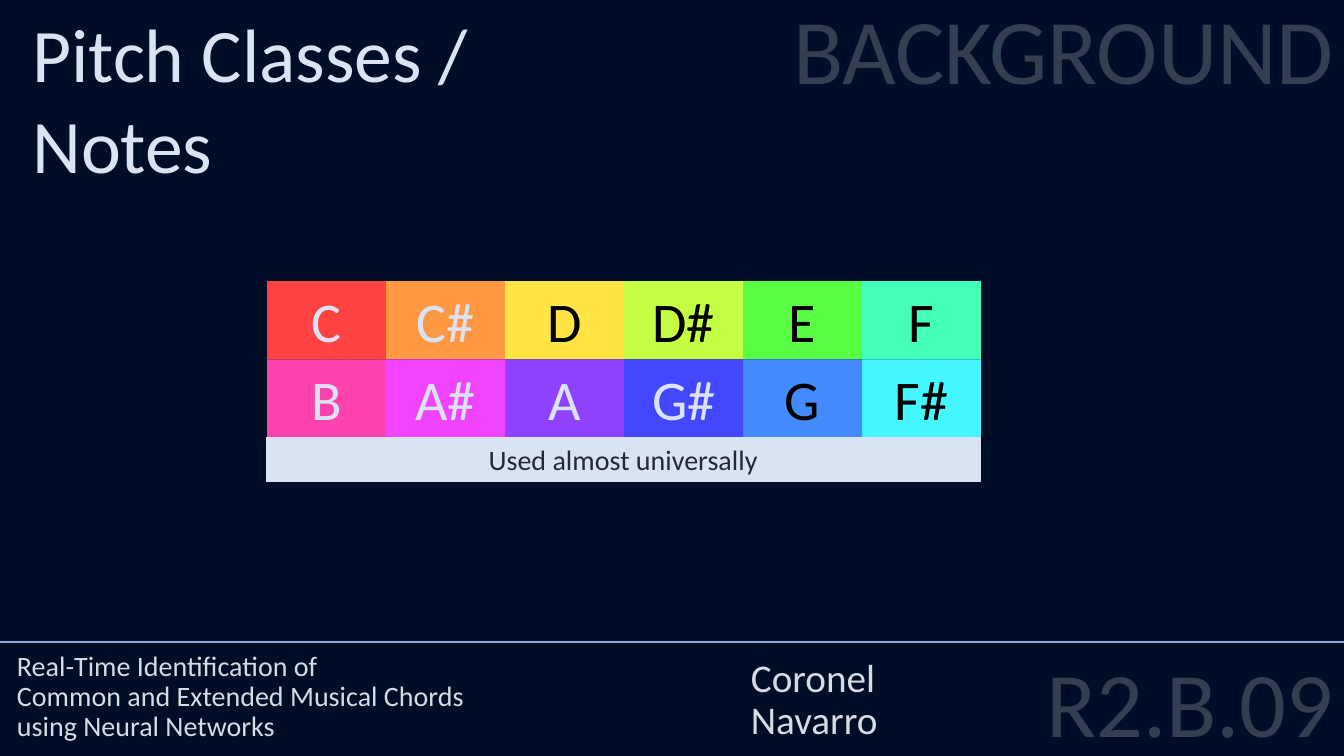
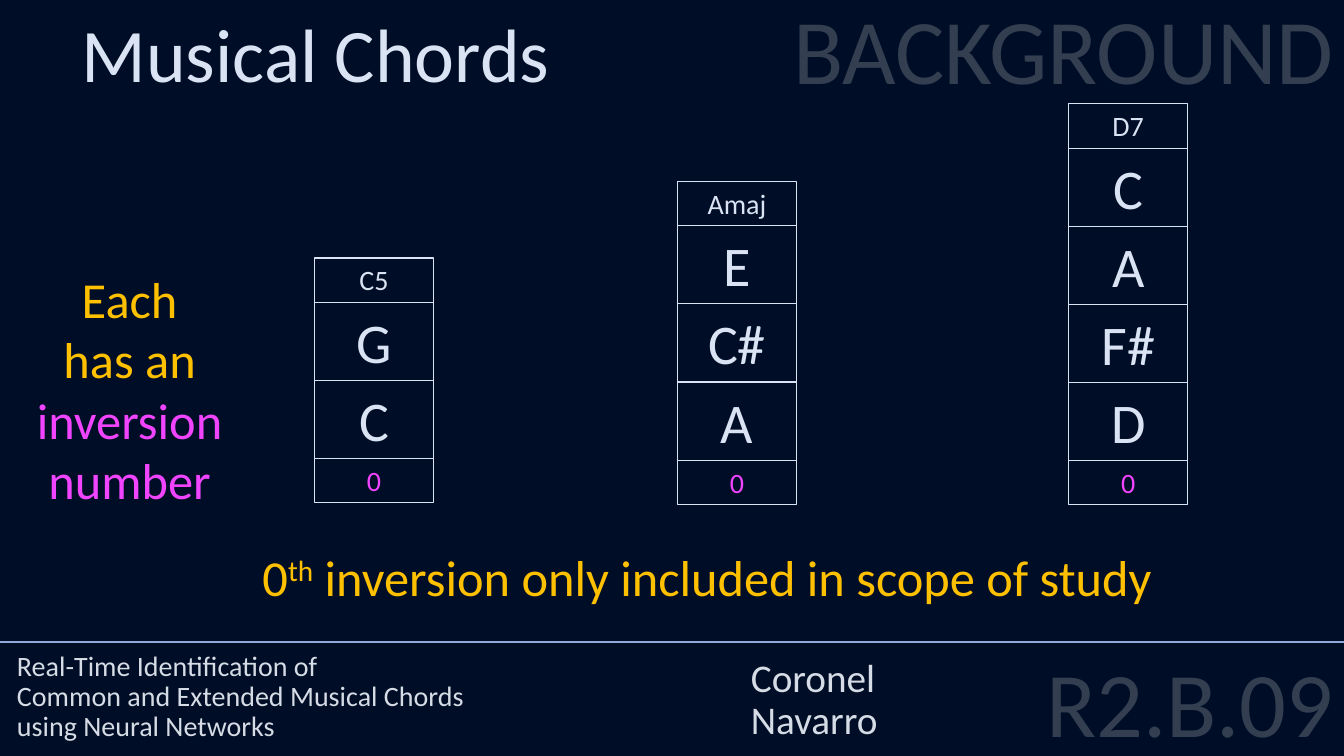
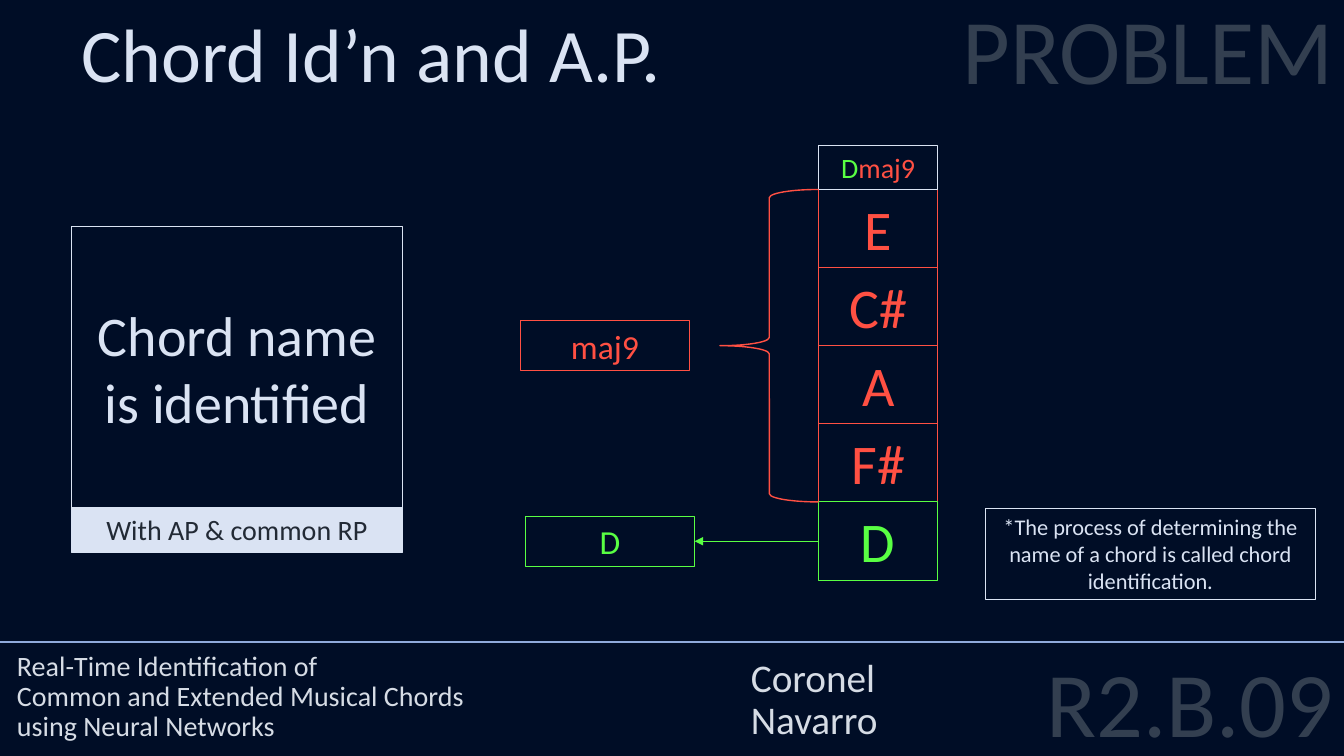
"""Build three slides on pitch classes, chords and chord naming."""
from dataclasses import dataclass
from typing import NamedTuple

from lxml import etree
from pptx import Presentation
from pptx.dml.color import RGBColor
from pptx.enum.shapes import MSO_CONNECTOR, MSO_SHAPE
from pptx.enum.text import MSO_ANCHOR, MSO_AUTO_SIZE, PP_ALIGN
from pptx.oxml.ns import qn
from pptx.util import Inches, Pt

LEFT, MID, RIGHT = PP_ALIGN.LEFT, PP_ALIGN.CENTER, PP_ALIGN.RIGHT
TOP, CENTER, BOTTOM = MSO_ANCHOR.TOP, MSO_ANCHOR.MIDDLE, MSO_ANCHOR.BOTTOM
FIT, FIXED = MSO_AUTO_SIZE.SHAPE_TO_FIT_TEXT, MSO_AUTO_SIZE.NONE
RECT, BRACE = MSO_SHAPE.RECTANGLE, MSO_SHAPE.LEFT_BRACE
STRAIGHT = MSO_CONNECTOR.STRAIGHT

FONT = "Calibri"
NAVY = RGBColor(0x00, 0x0D, 0x26)
ICE = RGBColor(0xDA, 0xE3, 0xF3)
GREY = RGBColor(0xD6, 0xDC, 0xE5)
SLATE = RGBColor(0x33, 0x3F, 0x50)
INK = RGBColor(0x22, 0x2A, 0x35)
BLUE = RGBColor(0x8F, 0xAA, 0xDC)
BLACK = RGBColor(0x00, 0x00, 0x00)
GOLD = RGBColor(0xFF, 0xC0, 0x00)
PINK = RGBColor(0xF1, 0x44, 0xFE)
RED = RGBColor(0xFF, 0x50, 0x43)
GREEN = RGBColor(0x59, 0xFF, 0x43)

WIDE, HIGH = 13.33, 7.5
CELL = 1.18
BRACKET = 3.1
NOTE = BRACKET / 4
LABEL = 0.44


class Box(NamedTuple):
    """Place and size in inches."""
    left: float
    top: float
    width: float
    height: float


class Part(NamedTuple):
    """A run of text with its own colour or raised baseline."""
    text: str
    color: RGBColor | None = None
    raised: bool = False


class Pitch(NamedTuple):
    """A pitch class with its fill and text colours."""
    name: str
    fill: RGBColor
    color: RGBColor


@dataclass(frozen=True)
class Chord:
    """A stack of notes under a name, with an optional inversion below."""
    left: float
    top: float
    name: tuple[Part, ...]
    notes: tuple[str, ...]
    upper: RGBColor = ICE
    root: RGBColor = ICE
    inversion: str = ""


PITCHES = (
    Pitch("C", RGBColor(0xFF, 0x43, 0x43), ICE),
    Pitch("C#", RGBColor(0xFF, 0x98, 0x43), ICE),
    Pitch("D", RGBColor(0xFF, 0xE4, 0x43), BLACK),
    Pitch("D#", RGBColor(0xC5, 0xFF, 0x43), BLACK),
    Pitch("E", GREEN, BLACK),
    Pitch("F", RGBColor(0x43, 0xFF, 0xB7), BLACK),
    Pitch("F#", RGBColor(0x43, 0xF6, 0xFF), BLACK),
    Pitch("G", RGBColor(0x43, 0x8B, 0xFF), BLACK),
    Pitch("G#", RGBColor(0x43, 0x47, 0xFF), ICE),
    Pitch("A", RGBColor(0x8F, 0x43, 0xFF), ICE),
    Pitch("A#", PINK, ICE),
    Pitch("B", RGBColor(0xFF, 0x43, 0xAE), ICE),
)
CHORDS = (
    Chord(3.12, 2.56, (Part("C5"),), ("G", "C"), inversion="0"),
    Chord(6.72, 1.8, (Part("Amaj"),), ("E", "C#", "A"), inversion="0"),
    Chord(10.6, 1.03, (Part("D7"),), ("C", "A", "F#", "D"), inversion="0"),
)
NINTH = Chord(8.12, 1.44, (Part("D", GREEN), Part("maj9", RED)),
              ("E", "C#", "A", "F#", "D"), RED, GREEN)


def write(shape, *paras: str | tuple[Part, ...], size: float, color: RGBColor = ICE,
          align=LEFT, anchor=TOP, lead: float = 1, before: float = 0, fit=FIT) -> None:
    """Fill a shape with formatted paragraphs."""
    frame = shape.text_frame
    frame.word_wrap, frame.auto_size, frame.vertical_anchor = True, fit, anchor
    for i, para in enumerate(paras):
        line = frame.add_paragraph() if i else frame.paragraphs[0]
        line.alignment, line.line_spacing, line.space_before = align, lead, Pt(before)
        for part in (Part(para),) if isinstance(para, str) else para:
            for j, piece in enumerate(part.text.split("\n")):
                if j:
                    line.add_line_break()
                run = line.add_run()
                run.text = piece
                run.font.name, run.font.size = FONT, Pt(size)
                run.font.color.rgb = part.color or color
                if part.raised:
                    run.font._element.set("baseline", "30000")


def label(slide, box: Box, *paras, **style) -> None:
    """Add a plain text box."""
    write(slide.shapes.add_textbox(*map(Inches, box)), *paras, **style)


def outline(slide, kind, box: Box, fill: RGBColor | None = None,
            line: RGBColor | None = None, weight: float = 0.75):
    """Add a flat preset shape."""
    shape = slide.shapes.add_shape(kind, *map(Inches, box))
    shape.shadow.inherit = False
    if fill is None:
        shape.fill.background()
    else:
        shape.fill.solid()
        shape.fill.fore_color.rgb = fill
    if line is None:
        shape.line.fill.background()
    else:
        shape.line.color.rgb = line
        shape.line.width = Pt(weight)
    return shape


def tile(slide, box: Box, *paras, size: float = 40, color: RGBColor = ICE, anchor=TOP,
         fill: RGBColor | None = None, line: RGBColor | None = None) -> None:
    """Add a rectangle with centred text."""
    write(outline(slide, RECT, box, fill, line), *paras,
          size=size, color=color, align=MID, anchor=anchor)


def rule(slide, start: tuple[float, float], end: tuple[float, float],
         color: RGBColor, weight: float, arrow: bool = False) -> None:
    """Add a straight line, with an arrowhead at its end if asked."""
    link = slide.shapes.add_connector(STRAIGHT, *map(Inches, start + end))
    link.line.color.rgb, link.line.width = color, Pt(weight)
    if arrow:
        etree.SubElement(link.line._get_or_add_ln(), qn("a:tailEnd"), type="triangle")
    etree.SubElement(link._element.spPr, qn("a:effectLst"))


def move(shape, box: Box) -> None:
    """Place a shape in a box."""
    shape.left, shape.top, shape.width, shape.height = map(Inches, box)


def start(deck, title: str, place: Box, section: str):
    """Add a slide with its title, section name and footer."""
    slide = deck.slides.add_slide(deck.slide_layouts[0])
    head, code = slide.placeholders
    move(head, place)
    write(head, title, size=54)
    move(code, Box(8.46, 6.56, 4.87, 1.04))
    faint = {"size": 66, "color": SLATE, "align": RIGHT, "before": 10, "fit": FIXED}
    write(code, "R2.B.09", lead=0.8, **faint)
    label(slide, Box(2.22, 0, 11.11, 3.58), section, lead=0.9, **faint)
    rule(slide, (0, 6.37), (WIDE, 6.37), BLUE, 1.5)
    foot = {"color": GREY, "anchor": BOTTOM, "lead": 0.9, "fit": FIXED}
    label(slide, Box(0.07, 4.43, 7.28, 2.99),
          "Real-Time Identification of\nCommon and Extended Musical Chords\n"
          "using Neural Networks", size=20, **foot)
    label(slide, Box(7.35, 4.43, 5.1, 2.99), "Coronel", "Navarro", size=28, **foot)
    return slide


def stack(slide, chord: Chord) -> None:
    """Draw a chord from its top note down, then its name."""
    top = chord.top + LABEL
    last = len(chord.notes) - 1
    for i, note in enumerate(chord.notes):
        color = chord.root if i == last else chord.upper
        tile(slide, Box(chord.left, top + i * NOTE, CELL, NOTE), note, color=color, line=color)
    if chord.inversion:
        low = top + len(chord.notes) * NOTE
        tile(slide, Box(chord.left, low, CELL, LABEL), chord.inversion,
             size=20, color=PINK, line=ICE)
    tile(slide, Box(chord.left, chord.top, CELL, LABEL), chord.name, size=20, line=ICE)


def caption(slide, box: Box, text: str) -> None:
    """Add a pale caption bar with dark text."""
    tile(slide, box, text, size=20, color=INK, fill=ICE, line=ICE)


def pitches(deck) -> None:
    """Build the slide of twelve pitch classes."""
    slide = start(deck, "Pitch Classes / Notes", Box(0.22, 0.02, 6.4, 1.92), "BACKGROUND")
    half = len(PITCHES) // 2
    for i, pitch in enumerate(PITCHES):
        row = i // half
        col = len(PITCHES) - 1 - i if row else i
        tile(slide, Box(2.65 + col * CELL, 2.79 + row * NOTE, CELL, NOTE), pitch.name,
             color=pitch.color, fill=pitch.fill)
    caption(slide, Box(2.64, 4.34, half * CELL, LABEL), "Used almost universally")


def chords(deck) -> None:
    """Build the slide of chords and inversions."""
    slide = start(deck, "Musical Chords", Box(0.71, 0.02, 5.96, 1.01), "BACKGROUND")
    for chord in CHORDS:
        stack(slide, chord)
    label(slide, Box(-0.86, 2.61, 4.29, 2.52), "Each", "has an",
          (Part("inversion", PINK),), (Part("number", PINK),),
          size=36, color=GOLD, align=MID)
    label(slide, Box(1.22, 5.37, 11.59, 0.71),
          (Part("0"), Part("th", raised=True),
           Part(" inversion only included in scope of study")),
          size=36, color=GOLD, align=MID)


def naming(deck) -> None:
    """Build the slide on how a chord is named."""
    slide = start(deck, "Chord Id’n and A.P.", Box(0.71, 0.02, 7.86, 1.01), "PROBLEM")
    tile(slide, Box(0.71, 2.25, 3.28, 2.79), "Chord name is identified",
         anchor=CENTER, line=ICE)
    caption(slide, Box(0.71, 5.04, 3.28, LABEL), "With AP & common RP")
    stack(slide, NINTH)
    outline(slide, BRACE, Box(7.14, 1.88, 0.98, BRACKET), line=RED, weight=1)
    tile(slide, Box(5.16, 3.18, 1.68, 0.5), "maj9", size=24, color=RED, line=RED)
    tile(slide, Box(5.21, 5.12, 1.68, 0.5), "D", size=24, color=GREEN, line=GREEN)
    rule(slide, (NINTH.left, 5.37), (6.89, 5.37), GREEN, 1, arrow=True)
    tile(slide, Box(9.77, 5.04, 3.28, 0.91),
         "*The process of determining the name of a chord is called chord identification.",
         size=16, anchor=CENTER, line=ICE)


def main() -> None:
    """Build and save the deck."""
    deck = Presentation()
    deck.slide_width, deck.slide_height = Inches(WIDE), Inches(HIGH)
    back = deck.slide_master.background.fill
    back.solid()
    back.fore_color.rgb = NAVY
    pitches(deck)
    chords(deck)
    naming(deck)
    deck.save("out.pptx")


main()
